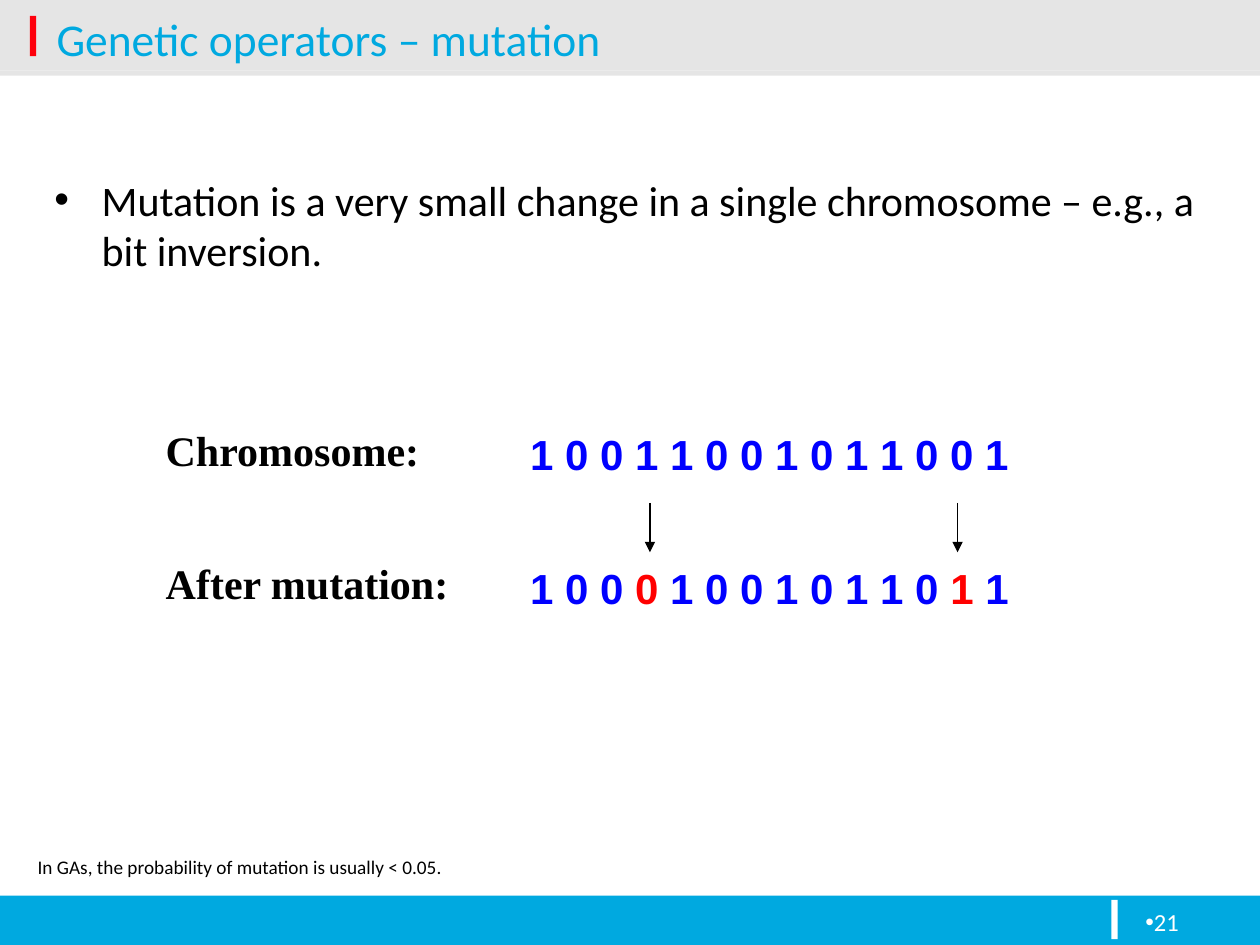
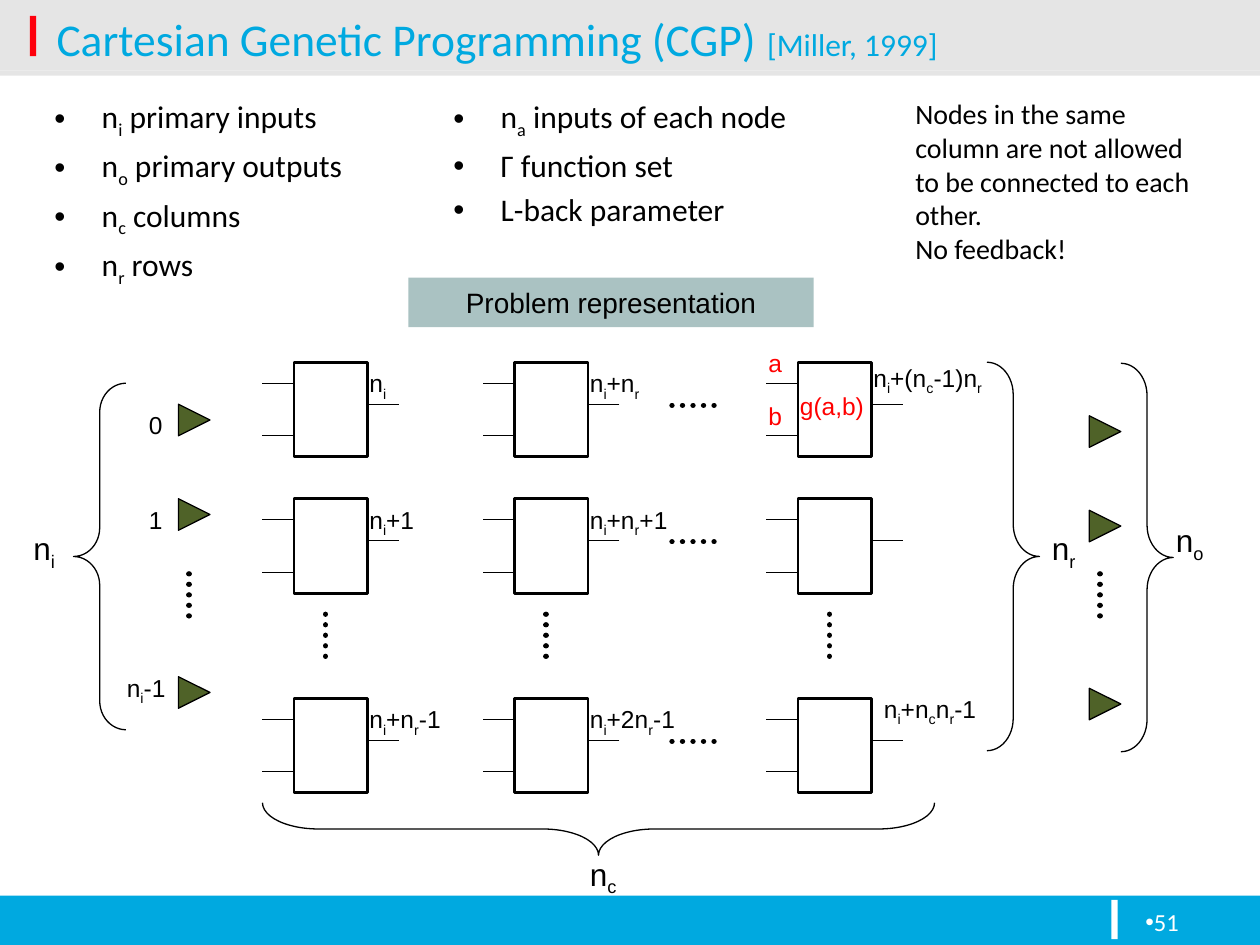
from dataclasses import dataclass, field
from typing import NamedTuple

from lxml.etree import SubElement
from pptx import Presentation
from pptx.dml.color import RGBColor
from pptx.enum.dml import MSO_LINE
from pptx.enum.shapes import MSO_CONNECTOR, MSO_SHAPE as Preset
from pptx.enum.text import MSO_ANCHOR as Anchor, MSO_AUTO_SIZE as AutoSize, PP_ALIGN as Align
from pptx.oxml.ns import qn
from pptx.util import Inches, Pt

CELL = Inches(10) // 120  # the page is a grid of 120 columns by 90 rows


class Style(NamedTuple):
    font: str
    size: float
    color: str
    bold: bool = False


@dataclass(frozen=True)
class Theme:
    blue: str = "00A9E0"
    red: str = "FE000C"
    white: str = "FFFFFF"
    black: str = "000000"
    green: str = "4F6228"
    sage: str = "AAC2C2"
    changed: str = "FF0000"
    title: Style = Style("Calibri", 26, "00A9E0")
    citation: Style = Style("Calibri", 18, "00A9E0")
    number: Style = Style("Calibri", 14, "FFFFFF")
    body: Style = Style("Calibri", 24, "000000")
    item: Style = Style("Calibri", 18, "000000")
    remark: Style = Style("Calibri", 16, "000000")
    footnote: Style = Style("Calibri", 11, "000000")
    caption: Style = Style("Times New Roman", 24, "000000", True)
    gene: Style = Style("Arial", 24, "0000FF", True)
    mutated: Style = Style("Arial", 24, "FF0000", True)
    badge: Style = Style("Arial", 16, "000000")
    count: Style = Style("Arial", 18, "000000")
    label: Style = Style("Arial", 14, "000000")
    function: Style = Style("Arial", 14, "FF0000")


THEME = Theme()


class Area(NamedTuple):
    left: float
    top: float
    width: float
    height: float

    def lengths(self) -> list[int]:
        return [round(cells * CELL) for cells in self]


class Span(NamedTuple):
    text: str
    style: Style
    lowered: bool = False


@dataclass(frozen=True)
class TextBox:
    area: Area
    paragraphs: list[list[Span]]
    bullet_indent: float | None = None
    wrap: bool = True
    format: dict = field(default_factory=dict)


class Block(NamedTuple):
    area: Area
    fill: str | None = None
    line: float = 0
    preset: Preset = Preset.RECTANGLE
    rotation: int = 0
    opacity: int = 100


class Stroke(NamedTuple):
    start: tuple[float, float]
    end: tuple[float, float]
    weight: float = 0.75
    dotted: bool = False
    arrow: bool = False


def spans(text: str, style: Style) -> list[Span]:
    """Split text into spans; the letter after an underscore is a subscript."""
    first, *rest = text.split("_")
    pieces = [Span(first, style)]
    for part in rest:
        pieces += [Span(part[0], style, True), Span(part[1:], style)]
    return [piece for piece in pieces if piece.text]


def write_text(frame, paragraphs: list[list[Span]], bullet_indent: float | None = None) -> None:
    for index, pieces in enumerate(paragraphs):
        para = frame.add_paragraph() if index else frame.paragraphs[0]
        if bullet_indent is not None:
            properties = para._p.get_or_add_pPr()
            indent = round(bullet_indent * CELL)
            properties.set("marL", str(indent))
            properties.set("indent", str(-indent))
            SubElement(properties, qn("a:buFont"), typeface="Arial")
            SubElement(properties, qn("a:buChar"), char="•")
            if index:
                para.space_before = Pt(pieces[0].style.size * 0.2)
        for piece in pieces:
            span = para.add_run()
            span.text = piece.text
            style = piece.style
            values = {"name": style.font, "size": Pt(style.size), "bold": style.bold}
            for name, value in values.items():
                setattr(span.font, name, value)
            span.font.color.rgb = RGBColor.from_string(style.color)
            if piece.lowered:
                span._r.get_or_add_rPr().set("baseline", "-25000")


def draw_text(page, text: TextBox):
    box = page.shapes.add_textbox(*text.area.lengths())
    values = {"word_wrap": text.wrap, "auto_size": AutoSize.NONE, **text.format}
    for name, value in values.items():
        setattr(box.text_frame, name, value)
    write_text(box.text_frame, text.paragraphs, text.bullet_indent)
    return box


def draw_label(page, text: str, style: Style, area: Area) -> None:
    fit = {"auto_size": AutoSize.SHAPE_TO_FIT_TEXT}
    draw_text(page, TextBox(area, [spans(text, style)], wrap=False, format=fit))


def draw_block(page, block: Block):
    box = page.shapes.add_shape(block.preset, *block.area.lengths())
    box.shadow.inherit = False
    box.rotation = block.rotation
    if block.fill:
        box.fill.solid()
        box.fill.fore_color.rgb = RGBColor.from_string(block.fill)
        if block.opacity < 100:
            color = next(box._element.spPr.iter(qn("a:srgbClr")))
            SubElement(color, qn("a:alpha"), val=str(block.opacity * 1000))
    else:
        box.fill.background()
    if block.line:
        box.line.color.rgb = RGBColor.from_string(THEME.black)
        box.line.width = Pt(block.line)
    else:
        box.line.fill.background()
    return box


def draw_stroke(page, stroke: Stroke) -> None:
    ends = [round(cells * CELL) for cells in (*stroke.start, *stroke.end)]
    line = page.shapes.add_connector(MSO_CONNECTOR.STRAIGHT, *ends)
    line.line.color.rgb = RGBColor.from_string(THEME.black)
    line.line.width = Pt(stroke.weight)
    if stroke.dotted:
        line.line.dash_style = MSO_LINE.ROUND_DOT
        line.get_or_add_ln().set("cap", "rnd")
    if stroke.arrow:
        SubElement(line.get_or_add_ln(), qn("a:tailEnd"), type="triangle")
    SubElement(line._element.spPr, qn("a:effectLst"))


def draw_dots(page, left: float, top: float, across: bool = False) -> None:
    end = (left + 5, top) if across else (left, top + 5)
    draw_stroke(page, Stroke((left, top), end, weight=3, dotted=True))


def draw_brace(page, preset: Preset, area: Area, rotation: int = 0) -> None:
    brace = draw_block(page, Block(area, line=0.75, preset=preset, rotation=rotation))
    brace.adjustments[0] = area.height / area.width / 12


def draw_terminal(page, left: float, top: float) -> None:
    draw_block(page, Block(Area(left, top, 3, 3), THEME.green, 0.75,
                           Preset.ISOSCELES_TRIANGLE, rotation=90))


def draw_node(page, left: float, top: float) -> None:
    """Draw a node with two input stubs and one output stub."""
    draw_block(page, Block(Area(left, top, 7, 9), THEME.white, 1.5))
    for start, drop in ((left, 2), (left, 7), (left + 10, 4)):
        draw_stroke(page, Stroke((start, top + drop), (start - 3, top + drop)))


FRAME = [
    Block(Area(0, 85.3, 120, 4.7), THEME.blue),
    Block(Area(0, 6.7, 120, 0.5), THEME.black, opacity=10),
    Block(Area(0, 0, 120, 6.7), THEME.black, opacity=10),
    Block(Area(2.85, 1.5, 0.6, 3.85), THEME.red),
    Block(Area(105.85, 85.7, 0.6, 3.75), THEME.white),
]


def add_page(deck, title: list[Span], number: str):
    page = deck.slides.add_slide(deck.slide_layouts[6])
    for block in FRAME:
        draw_block(page, block)
    middle = {"vertical_anchor": Anchor.MIDDLE, "margin_top": 0, "margin_bottom": 0}
    draw_text(page, TextBox(Area(4.2, 1, 115.8, 5.2), [title], format=middle))
    draw_text(page, TextBox(Area(107.9, 85.8, 10.8, 4.2), [spans(number, THEME.number)], 0))
    return page


def build_mutation(deck) -> None:
    page = add_page(deck, spans("Genetic operators – mutation", THEME.title), "21")
    statement = ("Mutation is a very small change in a single chromosome – e.g., "
                 "a bit inversion.")
    draw_text(page, TextBox(Area(4, 16, 112, 25), [spans(statement, THEME.body)], 4.5))
    gene, mutated = THEME.gene, THEME.mutated
    before = [Span("1 0 0 1 1 0 0 1 0 1 1 0 0 1", gene)]
    after = [Span("1 0 0 ", gene), Span("0", mutated), Span(" 1 0 0 1 0 1 1 0 ", gene),
             Span("1", mutated), Span(" 1", gene)]
    rows = (("Chromosome:", 26.6, before, 39.8), ("After mutation:", 29.4, after, 52.5))
    for caption, width, genes, top in rows:
        draw_label(page, caption, THEME.caption, Area(14.6, top, width, 6))
        draw_text(page, TextBox(Area(49.3, top + 0.45, 52.9, 6), [genes]))
    for column in (61.9, 91.2):
        draw_stroke(page, Stroke((column, 47.9), (column, 52.6), arrow=True))
    draw_label(page, "In GAs, the probability of mutation is usually < 0.05.",
               THEME.footnote, Area(2.4, 80.9, 41.2, 3.5))


NODE_COLUMNS = (28, 49, 76)
NODE_ROWS = (34.5, 47.5, 66.5)
TERMINAL_ROWS = (38.5, 47.5, 64.45)
ITEM_LISTS = {
    4: ["n_i primary inputs", "n_o primary outputs", "n_c columns", "n_r rows"],
    42: ["n_a inputs of each node", "Γ function set", "L-back parameter"],
}
LABELS = [
    ("n_i", THEME.label, Area(34, 34.5, 4.3, 4)),
    ("n_i+1", THEME.label, Area(34, 47.5, 7, 4)),
    ("n_i+n_r-1", THEME.label, Area(34, 66.5, 9.8, 4)),
    ("n_i+n_r", THEME.label, Area(55, 34.5, 7.7, 4)),
    ("n_i+n_r+1", THEME.label, Area(55, 47.5, 10.3, 4)),
    ("n_i+2n_r-1", THEME.label, Area(55, 66.5, 11, 4)),
    ("n_i+(n_c-1)n_r", THEME.label, Area(82, 34, 13.7, 4)),
    ("n_i+n_cn_r-1", THEME.label, Area(83, 65.5, 12.1, 4)),
    ("0", THEME.label, Area(13, 38.5, 3.7, 4)),
    ("1", THEME.label, Area(13, 47.5, 3.7, 4)),
    ("n_i-1", THEME.label, Area(10.9, 63.5, 6.4, 4)),
    ("n_i", THEME.count, Area(2, 49.8, 4.8, 4.8)),
    ("n_r", THEME.count, Area(99, 49.8, 5, 4.8)),
    ("n_o", THEME.count, Area(110.8, 49, 5.5, 4.8)),
    ("n_c", THEME.count, Area(55, 80.8, 5.4, 4.8)),
    ("a", THEME.function, Area(72, 32.6, 3.7, 4)),
    ("b", THEME.function, Area(72, 37.6, 3.8, 4)),
    ("g(a,b)", THEME.function, Area(75, 36.6, 8.8, 4)),
]


def build_cartesian(deck) -> None:
    title = [Span("Cartesian Genetic Programming (CGP) ", THEME.title),
             Span("[Miller, 1999]", THEME.citation)]
    page = add_page(deck, title, "51")
    for left, items in ITEM_LISTS.items():
        lines = [spans(item, THEME.item) for item in items]
        draw_text(page, TextBox(Area(left, 8.65, 38, 20), lines, 4.5))
    remarks = ("Nodes in the same column are not allowed to be connected to each other.",
               "No feedback!")
    draw_text(page, TextBox(Area(86, 8.65, 30.2, 18),
                            [spans(remark, THEME.remark) for remark in remarks]))
    for left in NODE_COLUMNS:
        for top in NODE_ROWS:
            draw_node(page, left, top)
        draw_dots(page, left + 3, 58.5)
    for top in NODE_ROWS:
        draw_dots(page, 64, top + 4.1, across=True)
    for left, shift in ((17, 0), (103.75, 1.1)):
        for top in TERMINAL_ROWS:
            draw_terminal(page, left, top + shift)
        draw_dots(page, left + 1, 54.65)
    draw_brace(page, Preset.LEFT_BRACE, Area(7, 36.5, 5, 33))
    draw_brace(page, Preset.LEFT_BRACE, Area(54.5, 46.95, 5, 64), rotation=270)
    draw_brace(page, Preset.RIGHT_BRACE, Area(94, 34.5, 5, 37))
    draw_brace(page, Preset.RIGHT_BRACE, Area(106.75, 34.6, 5, 37))
    for text, style, area in LABELS:
        draw_label(page, text, style, area)
    badge = draw_block(page, Block(Area(38.9, 26.45, 38.6, 4.7), THEME.sage))
    badge.text_frame.vertical_anchor = Anchor.MIDDLE
    write_text(badge.text_frame, [spans("Problem representation", THEME.badge)])
    badge.text_frame.paragraphs[0].alignment = Align.CENTER


def main() -> None:
    deck = Presentation()
    deck.slide_width, deck.slide_height = 120 * CELL, 90 * CELL
    build_mutation(deck)
    build_cartesian(deck)
    deck.save("out.pptx")


if __name__ == "__main__":
    main()
